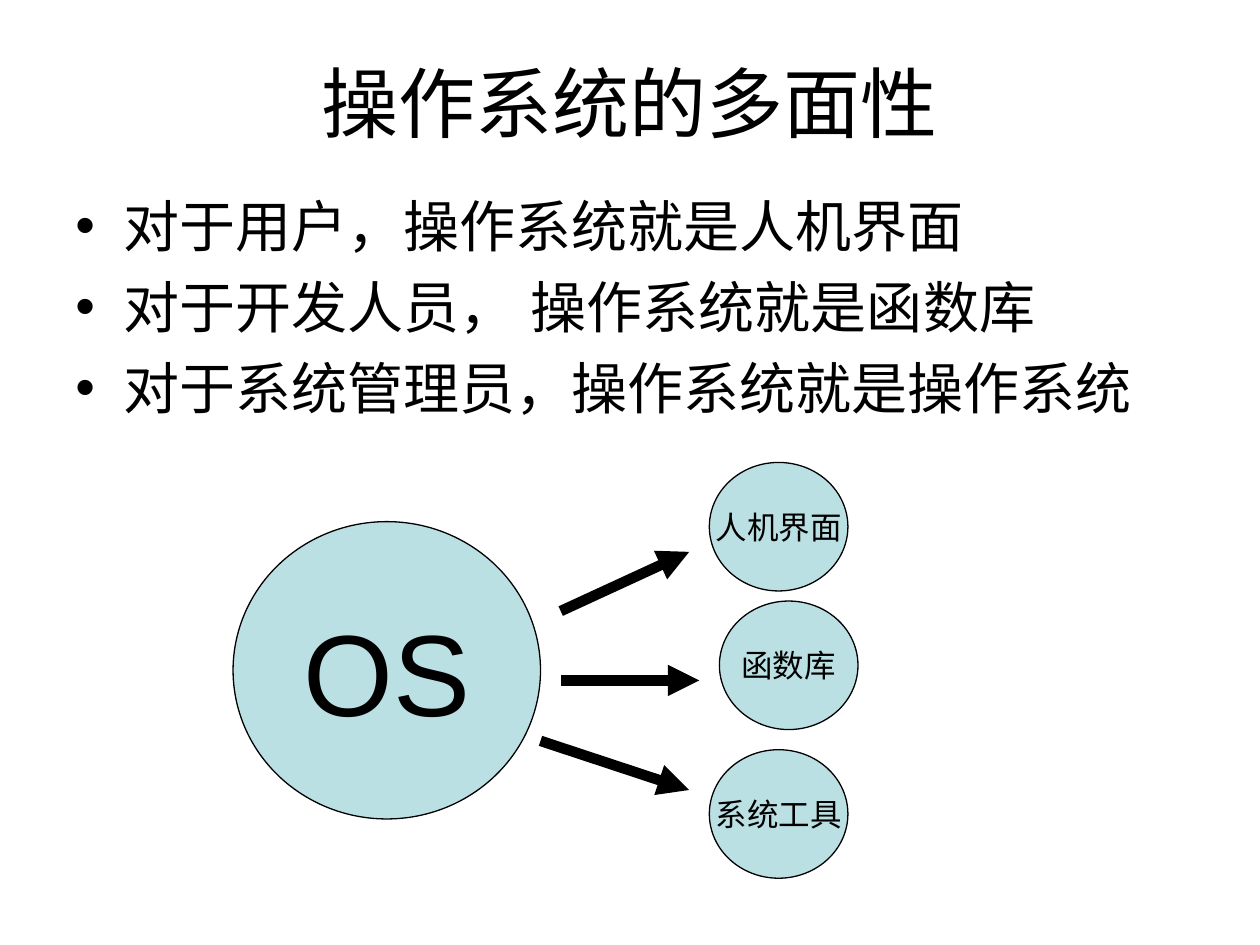
from dataclasses import dataclass

from lxml import etree
from pptx import Presentation
from pptx.dml.color import RGBColor
from pptx.enum.shapes import MSO_CONNECTOR, MSO_SHAPE
from pptx.enum.text import MSO_ANCHOR, PP_ALIGN
from pptx.oxml.ns import qn
from pptx.util import Inches, Pt

OVAL = MSO_SHAPE.OVAL
STRAIGHT = MSO_CONNECTOR.STRAIGHT
CENTER, LEFT = PP_ALIGN.CENTER, PP_ALIGN.LEFT
MIDDLE, TOP = MSO_ANCHOR.MIDDLE, MSO_ANCHOR.TOP

COLORS = {"ink": "000000", "bubble": "BBE0E3"}
COLUMNS, ROWS = 100, 75
SLIDE_WIDTH, SLIDE_HEIGHT = Inches(10), Inches(7.5)


@dataclass(frozen=True)
class TextBlock:
    left: float
    top: float
    width: float
    height: float
    lines: tuple[str, ...]
    font: str
    size: int
    align: int
    anchor: int
    bulleted: bool = False


@dataclass(frozen=True)
class Bubble:
    left: float
    top: float
    width: float
    height: float
    label: str
    size: int


@dataclass(frozen=True)
class Arrow:
    start: tuple[float, float]
    end: tuple[float, float]


def column(count: float) -> int:
    return round(SLIDE_WIDTH * count / COLUMNS)


def row(count: float) -> int:
    return round(SLIDE_HEIGHT * count / ROWS)


def color(name: str) -> RGBColor:
    return RGBColor.from_string(COLORS[name])


def style_paragraph(paragraph, font: str, size: int, align: int) -> None:
    paragraph.alignment = align
    for run in paragraph.runs:
        run.font.name = font
        run.font.size = Pt(size)
        run.font.color.rgb = color("ink")
        etree.SubElement(run.font._element, qn("a:ea")).set("typeface", font)


def add_bullet(paragraph) -> None:
    properties = paragraph._p.get_or_add_pPr()
    properties.set("marL", str(Inches(0.38)))
    properties.set("indent", str(-Inches(0.38)))
    etree.SubElement(properties, qn("a:buFont")).set("typeface", "Arial")
    etree.SubElement(properties, qn("a:buChar")).set("char", "•")


def draw_text(slide, block: TextBlock) -> None:
    frame = slide.shapes.add_textbox(
        column(block.left), row(block.top), column(block.width), row(block.height)
    ).text_frame
    frame.word_wrap = True
    frame.vertical_anchor = block.anchor
    frame.text = "\n".join(block.lines)
    for index, paragraph in enumerate(frame.paragraphs):
        if block.bulleted:
            add_bullet(paragraph)
            paragraph.space_before = Pt(8 if index else 0)
        style_paragraph(paragraph, block.font, block.size, block.align)


def draw_bubble(slide, bubble: Bubble) -> None:
    oval = slide.shapes.add_shape(
        OVAL, column(bubble.left), row(bubble.top), column(bubble.width), row(bubble.height)
    )
    oval.shadow.inherit = False
    oval.fill.solid()
    oval.fill.fore_color.rgb = color("bubble")
    oval.line.color.rgb = color("ink")
    oval.line.width = Pt(0.75)
    frame = oval.text_frame
    frame.word_wrap = False
    frame.vertical_anchor = MIDDLE
    frame.text = bubble.label
    style_paragraph(frame.paragraphs[0], "Arial", bubble.size, CENTER)


def draw_arrow(slide, arrow: Arrow) -> None:
    (x1, y1), (x2, y2) = arrow.start, arrow.end
    connector = slide.shapes.add_connector(STRAIGHT, column(x1), row(y1), column(x2), row(y2))
    connector.line.color.rgb = color("ink")
    connector.line.width = Pt(6)
    etree.SubElement(connector.line._get_or_add_ln(), qn("a:tailEnd")).set("type", "triangle")
    etree.SubElement(connector._element.spPr, qn("a:effectLst"))


TITLE = TextBlock(5, 3, 90, 10.1, ("操作系统的多面性",), "Montserrat", 44, CENTER, MIDDLE)
ROLES = TextBlock(
    5, 14.7, 90, 49.5,
    (
        "对于用户，操作系统就是人机界面",
        "对于开发人员， 操作系统就是函数库",
        "对于系统管理员，操作系统就是操作系统",
    ),
    "TeX Gyre Adventor", 32, LEFT, TOP, True,
)
SYSTEM = Bubble(18.5, 41.4, 24.4, 23.6, "OS", 66)
FACES = [
    Bubble(left, top, 11, 10.2, label, 18)
    for left, top, label in (
        (56.3, 36.7, "人机界面"),
        (57.1, 47.7, "函数库"),
        (56.3, 59.5, "系统工具"),
    )
]
ARROWS = [
    Arrow((44.5, 48.5), (54.7, 43.8)),
    Arrow((44.5, 54), (55.5, 54)),
    Arrow((42.9, 58.8), (54.7, 62.7)),
]


def main() -> None:
    presentation = Presentation()
    presentation.slide_width, presentation.slide_height = SLIDE_WIDTH, SLIDE_HEIGHT
    slide = presentation.slides.add_slide(presentation.slide_layouts[6])
    for block in (TITLE, ROLES):
        draw_text(slide, block)
    for bubble in (SYSTEM, *FACES):
        draw_bubble(slide, bubble)
    for arrow in ARROWS:
        draw_arrow(slide, arrow)
    presentation.save("out.pptx")


if __name__ == "__main__":
    main()
